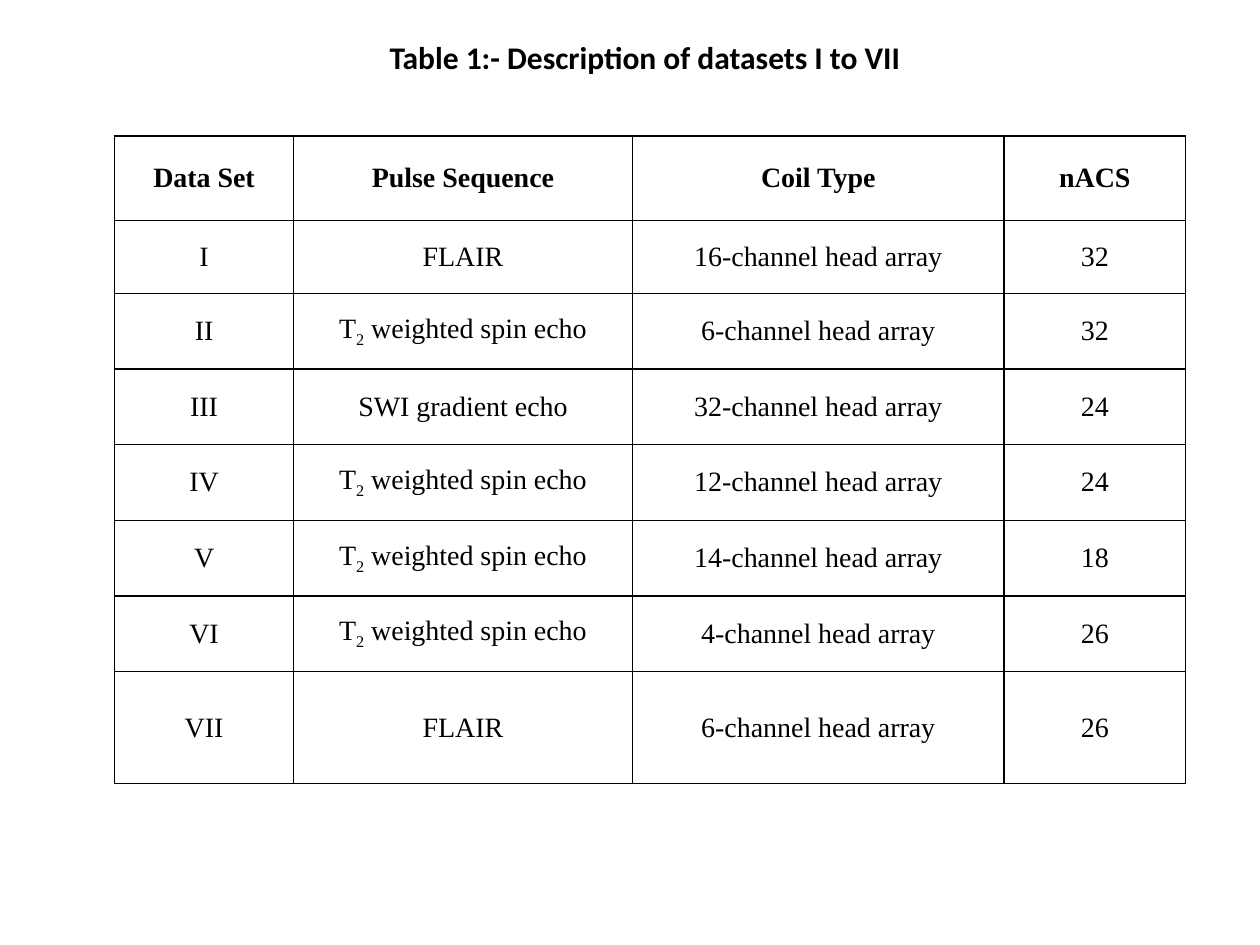
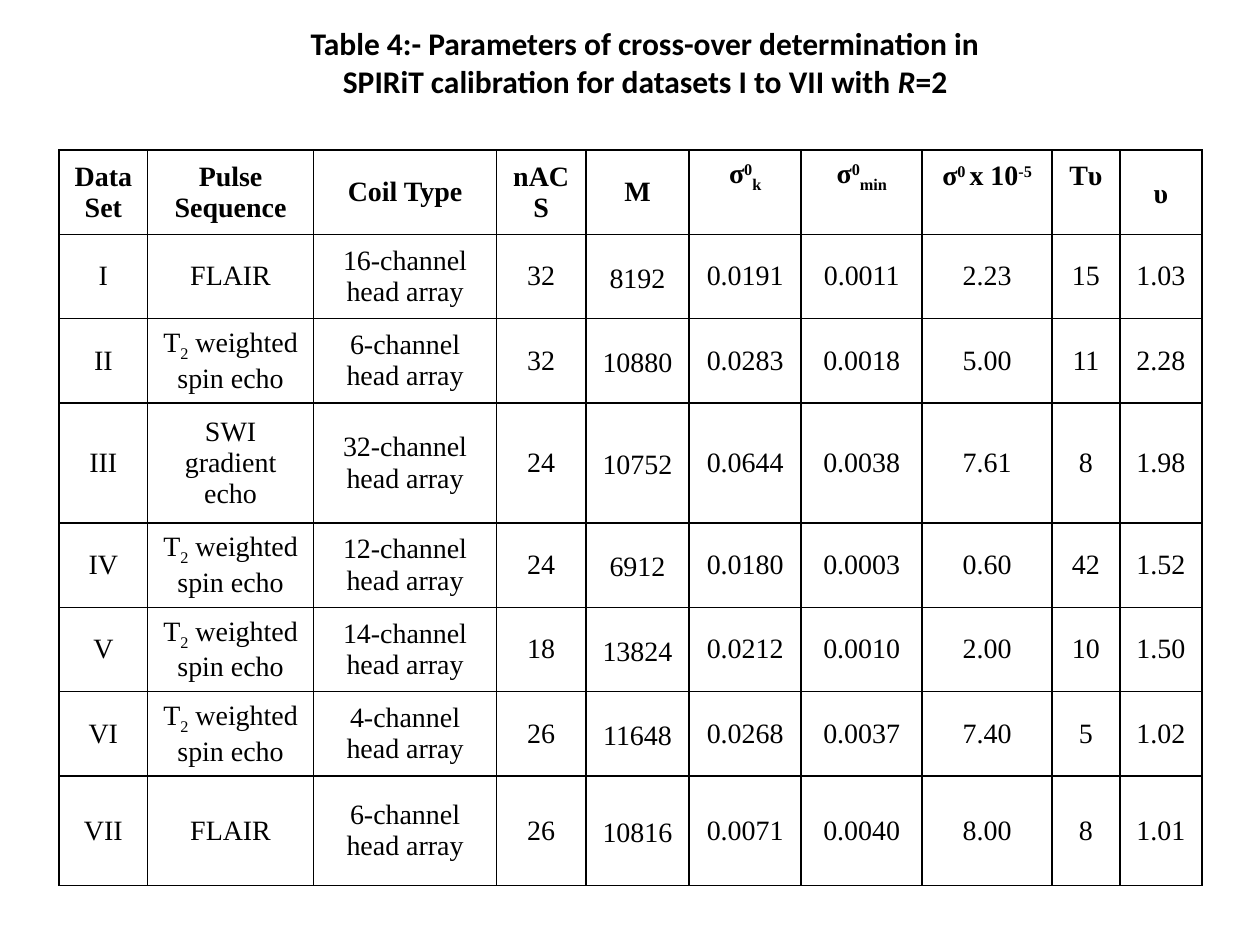
from lxml import etree
from pptx import Presentation, util as u
from pptx.dml.color import RGBColor
from pptx.enum import text
from pptx.oxml.ns import qn

# Markup: "|" parts the runs; a run may start with ^ (raised), _ (lowered) or * (italic)
SPIN = "T|_2| weighted spin echo"
HEAD = ["Data Set", "Pulse Sequence", "Coil Type", "nACS"]
DATASETS = [
    ["I", "FLAIR", "16-channel head array", "32"],
    ["II", SPIN, "6-channel head array", "32"],
    ["III", "SWI gradient echo", "32-channel head array", "24"],
    ["IV", SPIN, "12-channel head array", "24"],
    ["V", SPIN, "14-channel head array", "18"],
    ["VI", SPIN, "4-channel head array", "26"],
    ["VII", "FLAIR", "6-channel head array", "26"],
]
CROSS_HEAD = ["M", "σ|^0|_k", "σ|^0|_min", "σ|^0 |x 10|^-5", "Tυ", "υ"]
CROSSOVER = [
    ["8192", "0.0191", "0.0011", "2.23", "15", "1.03"],
    ["10880", "0.0283", "0.0018", "5.00", "11", "2.28"],
    ["10752", "0.0644", "0.0038", "7.61", "8", "1.98"],
    ["6912", "0.0180", "0.0003", "0.60", "42", "1.52"],
    ["13824", "0.0212", "0.0010", "2.00", "10", "1.50"],
    ["11648", "0.0268", "0.0037", "7.40", "5", "1.02"],
    ["10816", "0.0071", "0.0040", "8.00", "8", "1.01"],
]
SLIDES = [
    dict(title=["Table 1:- Description of datasets I to VII"],
         title_top=0.25, title_height=0.4, left=0.91, top=1.08,
         cols=[1.42, 2.69, 2.95, 1.44],
         heights=[0.67, 0.58] + [0.6] * 5 + [0.89],
         rows=[HEAD] + DATASETS),
    dict(title=["Table 4:- Parameters of cross-over determination in",
                "SPIRiT calibration for datasets I to VII with |*R|=2"],
         title_top=0.14, title_height=0.71, left=0.47, top=1.19,
         cols=[0.7, 1.32, 1.45, 0.71, 0.82, 0.89, 0.96, 1.03, 0.54, 0.65],
         heights=[0.67] * 3 + [0.95] + [0.67] * 3 + [0.87],
         rows=[HEAD + CROSS_HEAD] + [d + c for d, c in zip(DATASETS, CROSSOVER)]),
]
INK = "000000"
BASELINES = {"^": "30000", "_": "-25000"}
M_COL, RAISED_COLS, LAST_COL = 4, range(5, 9), 9


def color(value):
    return RGBColor.from_string(value)


def write(p, markup, font, size, bold):
    p.alignment = text.PP_ALIGN.CENTER
    p.font.name, p.font.size, p.font.bold = font, u.Pt(size), bold
    p.font.color.rgb = color(INK)
    for part in markup.split("|"):
        mark = part[0] if part[0] in "^_*" else ""
        r = p.add_run()
        r.text = part[len(mark):]
        if mark == "*":
            r.font.italic = True
        elif mark:
            r._r.get_or_add_rPr().set("baseline", BASELINES[mark])


def add_borders(cell):
    tcPr = cell._tc.get_or_add_tcPr()
    for side in ("lnL", "lnR", "lnT", "lnB"):
        ln = etree.SubElement(tcPr, qn("a:" + side), w=str(u.Pt(1)))
        fill = etree.SubElement(ln, qn("a:solidFill"))
        etree.SubElement(fill, qn("a:srgbClr"), val=INK)


def add_title(s, lines, top, height):
    box = s.shapes.add_textbox(u.Inches(2.25), u.Inches(top),
                               u.Inches(5.74), u.Inches(height))
    tf = box.text_frame
    tf.word_wrap = True
    tf.auto_size = text.MSO_AUTO_SIZE.SHAPE_TO_FIT_TEXT
    for i, line in enumerate(lines):
        p = tf.add_paragraph() if i else tf.paragraphs[0]
        write(p, line, "Calibri", 18, True)


def add_data_table(s, rows, cols, heights, left, top):
    table = s.shapes.add_table(
        len(rows), len(cols), u.Inches(left), u.Inches(top),
        u.Inches(sum(cols)), u.Inches(sum(heights))).table
    table.first_row = table.horz_banding = False
    for column, width in zip(table.columns, cols):
        column.width = u.Inches(width)
    for row, height in zip(table.rows, heights):
        row.height = u.Inches(height)
    for i, row in enumerate(rows):
        for j, markup in enumerate(row):
            cell = table.cell(i, j)
            add_borders(cell)
            cell.fill.background()
            cell.vertical_anchor = text.MSO_ANCHOR.MIDDLE
            p = cell.text_frame.paragraphs[0]
            write(p, markup, "Times New Roman", 16, i == 0)
            # Symbol headings sit high; the M figures and υ have looser lines
            if i == 0 and j in RAISED_COLS:
                cell.margin_bottom = u.Inches(0.3)
            if (i == 0 and j == LAST_COL) or (i and j == M_COL):
                p.line_spacing = 1.15
            if i and j == M_COL:
                cell.margin_left = cell.margin_right = u.Inches(0.07)
                cell.margin_top = cell.margin_bottom = 0


def main():
    prs = Presentation()
    prs.slide_width, prs.slide_height = u.Inches(10), u.Inches(7.5)
    for d in SLIDES:
        s = prs.slides.add_slide(prs.slide_layouts[6])
        add_data_table(s, d["rows"], d["cols"], d["heights"], d["left"], d["top"])
        add_title(s, d["title"], d["title_top"], d["title_height"])
    prs.save("out.pptx")


if __name__ == "__main__":
    main()
